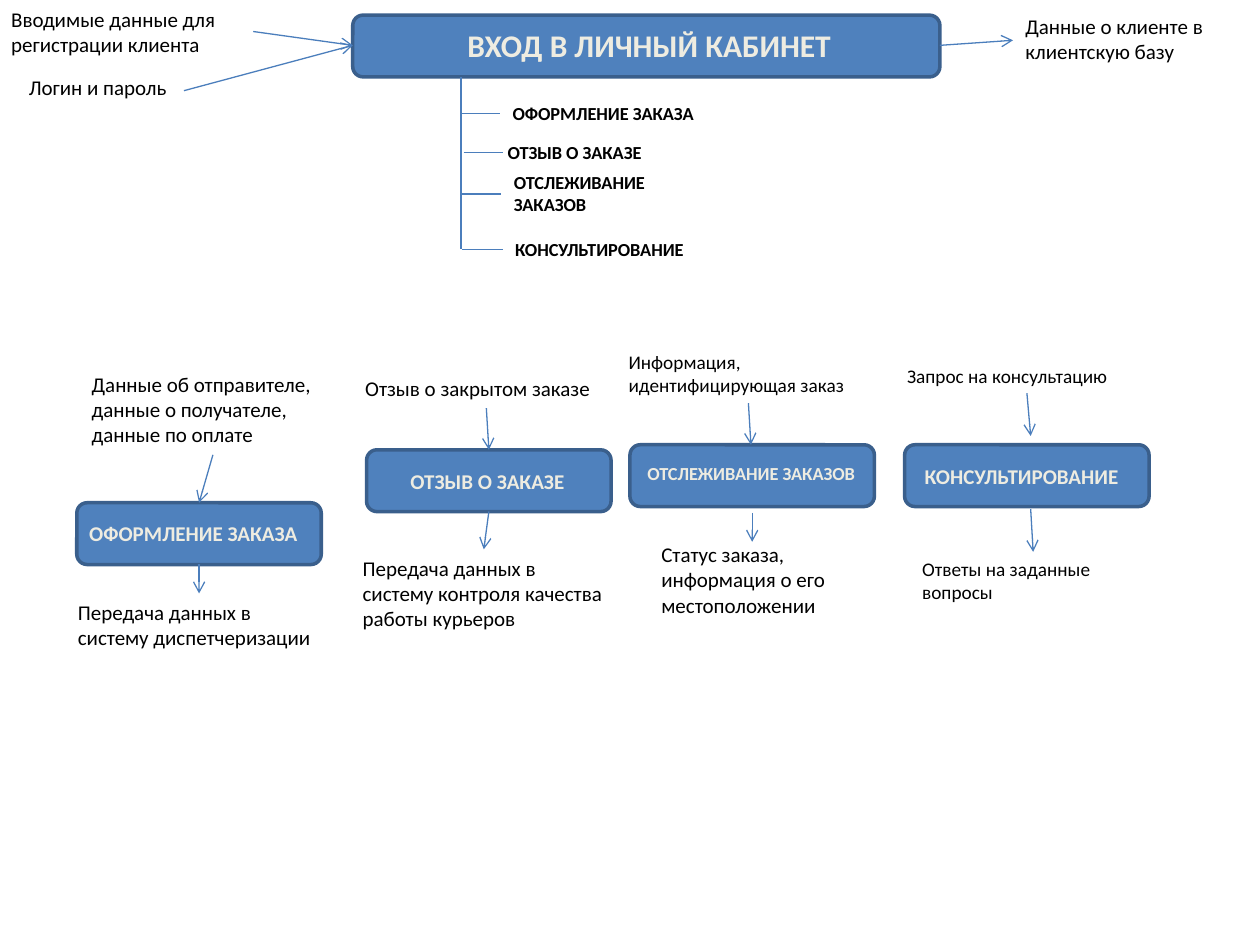
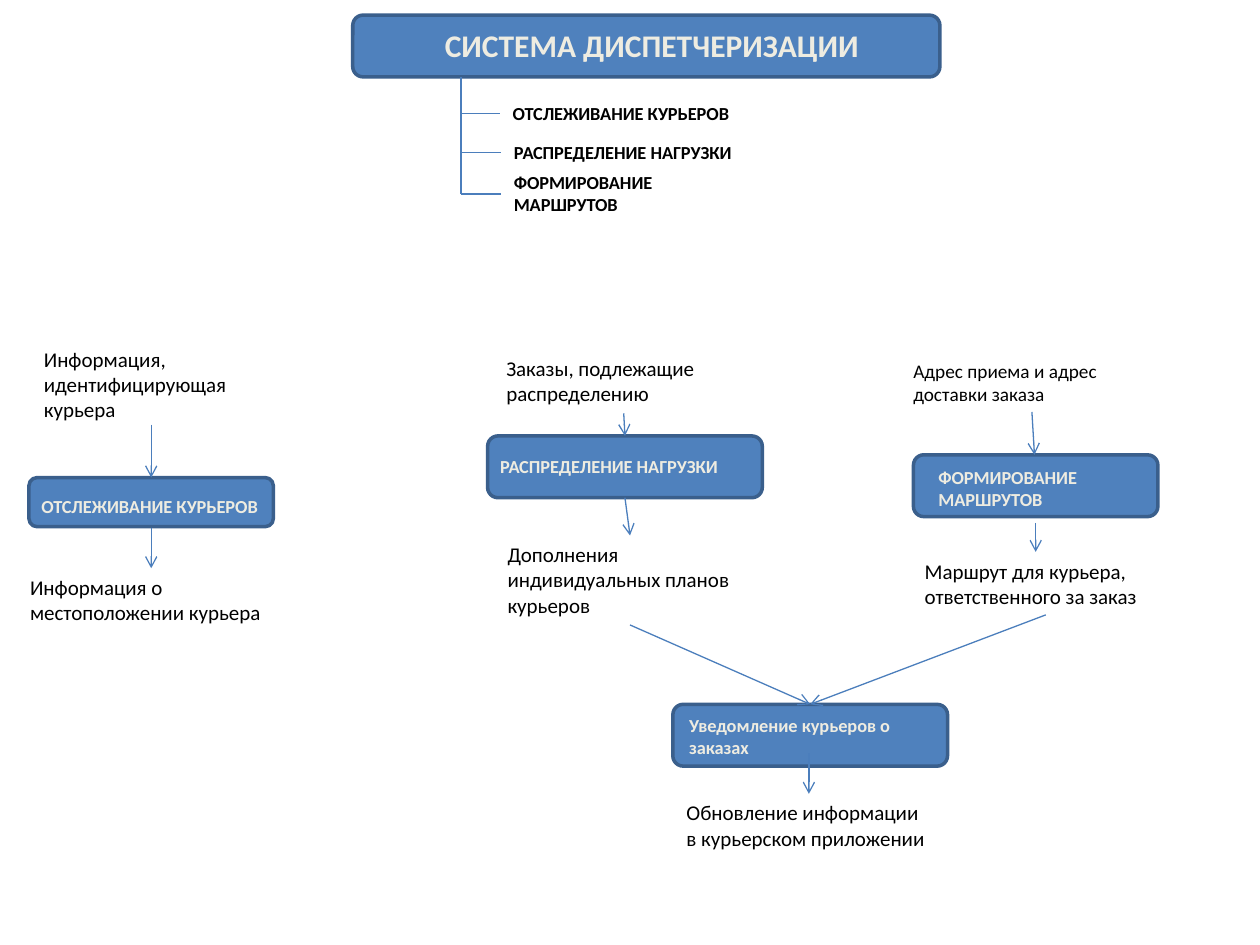
"""Builds two process diagrams: the customer account and the dispatch system."""
from dataclasses import dataclass
from typing import NamedTuple

from lxml import etree
from pptx import Presentation
from pptx.dml.color import RGBColor
from pptx.enum.shapes import MSO_CONNECTOR, MSO_SHAPE
from pptx.enum.text import MSO_ANCHOR, MSO_AUTO_SIZE, PP_ALIGN
from pptx.oxml.ns import qn
from pptx.util import Inches, Pt

STRAIGHT = MSO_CONNECTOR.STRAIGHT
ROUNDED = MSO_SHAPE.ROUNDED_RECTANGLE
LEFT = PP_ALIGN.LEFT
TOP = MSO_ANCHOR.TOP
GROW = MSO_AUTO_SIZE.SHAPE_TO_FIT_TEXT
FIXED = MSO_AUTO_SIZE.NONE

FONT = "Calibri"
BOX_FILL, BOX_LINE, ARROW_LINE = "4F81BD", "3A5F8C", "4B7EBC"
LIGHT, DARK = "EEECE1", "000000"
TITLE_ONLY = 5
SPINE_X = 3.66


class Area(NamedTuple):
    """Left, top, width and height in inches."""
    left: float
    top: float
    width: float
    height: float = 0.49


class Segment(NamedTuple):
    """Start and end of a line in inches."""
    x1: float
    y1: float
    x2: float
    y2: float


HEADER = Area(2.8, 0.12, 4.66)


@dataclass
class Note:
    """A text with its place, number of lines and size."""
    text: str
    left: float
    top: float
    width: float
    lines: int = 1
    size: float = 12

    def area(self) -> Area:
        """Place of the text, as high as its lines need."""
        height = 0.1 + self.lines * self.size * 1.22 / 72
        return Area(self.left, self.top, self.width, height)


@dataclass
class Step:
    """A process box with its label and the texts and arrows around it."""
    box: Area
    label: Note
    notes: list[Note]
    arrows: list[Segment]


@dataclass
class Branch:
    """An entry of the tree below the header."""
    note: Note
    y: float
    start: float = SPINE_X
    end: float = 3.98


@dataclass
class Diagram:
    """All that one slide shows."""
    title: Note
    branches: list[Branch]
    steps: list[Step]
    notes: list[Note]
    arrows: list[Segment]


def color(value: str) -> RGBColor:
    """Turn a hex string into a colour."""
    return RGBColor.from_string(value)


def write(shape, note: Note, ink: str, bold: bool, fit) -> None:
    """Put a note's text into a shape as one formatted run."""
    frame = shape.text_frame
    frame.word_wrap = True
    frame.auto_size = fit
    frame.vertical_anchor = TOP
    para = frame.paragraphs[0]
    para.alignment = LEFT
    span = para.add_run()
    span.text = note.text
    span.font.name = FONT
    span.font.size = Pt(note.size)
    span.font.bold = bold
    span.font.color.rgb = color(ink)


def add_note(page, note: Note, ink: str = DARK, bold: bool = False) -> None:
    """Add a wrapped text box."""
    box = page.shapes.add_textbox(*map(Inches, note.area()))
    write(box, note, ink, bold, GROW)


def add_box(page, area: Area):
    """Add a rounded process box."""
    box = page.shapes.add_shape(ROUNDED, *map(Inches, area))
    box.shadow.inherit = False
    box.fill.solid()
    box.fill.fore_color.rgb = color(BOX_FILL)
    box.line.color.rgb = color(BOX_LINE)
    box.line.width = Pt(2)
    return box


def add_line(page, segment: Segment, arrow: bool = False) -> None:
    """Add a thin line, with an open arrowhead at its end if asked."""
    line = page.shapes.add_connector(STRAIGHT, *map(Inches, segment))
    line.line.color.rgb = color(ARROW_LINE)
    line.line.width = Pt(0.75)
    if arrow:
        etree.SubElement(line.line._get_or_add_ln(), qn("a:tailEnd"), type="arrow")
    etree.SubElement(line.element.spPr, qn("a:effectLst"))


def add_header(page, note: Note) -> None:
    """Add the header box and set the title placeholder on top of it."""
    bar = add_box(page, HEADER)
    title = page.shapes.title
    title.left, title.top, title.width, title.height = map(Inches, note.area())
    write(title, note, LIGHT, True, FIXED)
    bar.element.addnext(title.element)


def add_tree(page, branches: list[Branch]) -> None:
    """Add the spine below the header and its branches."""
    header_bottom = HEADER.top + HEADER.height
    add_line(page, Segment(SPINE_X, header_bottom, SPINE_X, branches[-1].y))
    for branch in branches:
        add_line(page, Segment(branch.start, branch.y, branch.end, branch.y))
        add_note(page, branch.note, bold=True)


def add_step(page, step: Step) -> None:
    """Add a process box with its texts and arrows."""
    add_box(page, step.box)
    add_note(page, step.label, LIGHT, bold=True)
    for note in step.notes:
        add_note(page, note)
    for arrow in step.arrows:
        add_line(page, arrow, arrow=True)


def add_diagram(deck, diagram: Diagram) -> None:
    """Add one slide with its whole diagram."""
    page = deck.slides.add_slide(deck.slide_layouts[TITLE_ONLY])
    add_header(page, diagram.title)
    add_tree(page, diagram.branches)
    for step in diagram.steps:
        add_step(page, step)
    for note in diagram.notes:
        add_note(page, note)
    for arrow in diagram.arrows:
        add_line(page, arrow, arrow=True)


ACCOUNT = Diagram(
    title=Note("ВХОД В ЛИЧНЫЙ КАБИНЕТ", 3.61, 0.16, 3.28, size=18),
    branches=[
        Branch(Note("ОФОРМЛЕНИЕ ЗАКАЗА", 3.97, 0.76, 1.94, size=10.5), 0.9, end=3.97),
        Branch(Note("ОТЗЫВ О ЗАКАЗЕ", 3.93, 1.07, 2.08, size=10.5), 1.21, 3.68, 3.99),
        Branch(Note("ОТСЛЕЖИВАНИЕ ЗАКАЗОВ", 3.98, 1.31, 1.64, 2, 10.5), 1.54, 3.67),
        Branch(Note("КОНСУЛЬТИРОВАНИЕ", 3.99, 1.84, 1.64, size=10.5), 1.98, 3.67, 3.99),
    ],
    steps=[
        Step(
            Area(0.61, 3.99, 1.94),
            Note("ОФОРМЛЕНИЕ ЗАКАЗА", 0.61, 4.08, 1.94),
            [Note("Данные об отправителе, данные о получателе, данные по оплате",
                  0.63, 2.9, 2.13, 3),
             Note("Передача данных в систему диспетчеризации", 0.52, 4.71, 2.13, 2)],
            [Segment(1.69, 3.61, 1.58, 3.99), Segment(1.58, 4.48, 1.58, 4.71)],
        ),
        Step(
            Area(2.91, 3.57, 1.94),
            Note("ОТЗЫВ О ЗАКАЗЕ", 3.16, 3.67, 1.63),
            [Note("Отзыв о закрытом заказе", 2.8, 2.93, 2.13),
             Note("Передача данных в систему контроля качества работы курьеров",
                  2.78, 4.36, 2.13, 3)],
            [Segment(3.86, 3.24, 3.88, 3.57), Segment(3.88, 4.06, 3.84, 4.36)],
        ),
        Step(
            Area(5, 3.53, 1.94),
            Note("ОТСЛЕЖИВАНИЕ ЗАКАЗОВ", 5.04, 3.62, 1.93, size=10.5),
            [Note("Информация, идентифицирующая заказ", 4.89, 2.73, 2.13, 2, 11),
             Note("Статус заказа, информация о его местоположении", 5.15, 4.25, 1.62, 3)],
            [Segment(5.94, 3.2, 5.96, 3.53), Segment(5.97, 4.07, 5.97, 4.3)],
        ),
        Step(
            Area(7.18, 3.53, 1.94),
            Note("КОНСУЛЬТИРОВАНИЕ", 7.24, 3.63, 1.88),
            [Note("Запрос на консультацию", 7.1, 2.84, 1.92, size=11),
             Note("Ответы на заданные вопросы", 7.22, 4.37, 1.92, 2, 11)],
            [Segment(8.15, 3.12, 8.18, 3.46), Segment(8.18, 4.04, 8.2, 4.38)],
        ),
    ],
    notes=[
        Note("Вводимые данные для регистрации клиента", -0.01, 0, 2.02, 2),
        Note("Логин и пароль", 0.13, 0.54, 1.31),
        Note("Данные о клиенте в клиентскую базу", 8.04, 0.06, 1.73, 2),
    ],
    arrows=[
        Segment(2.01, 0.25, 2.8, 0.36),
        Segment(1.46, 0.72, 2.8, 0.36),
        Segment(7.46, 0.36, 8.04, 0.32),
    ],
)

DISPATCH = Diagram(
    title=Note("СИСТЕМА ДИСПЕТЧЕРИЗАЦИИ", 3.43, 0.16, 3.62, size=18),
    branches=[
        Branch(Note("ОТСЛЕЖИВАНИЕ КУРЬЕРОВ", 3.97, 0.76, 1.94, size=10.5), 0.9, end=3.97),
        Branch(Note("РАСПРЕДЕЛЕНИЕ НАГРУЗКИ", 3.98, 1.07, 2.11, size=10.5), 1.21),
        Branch(Note("ФОРМИРОВАНИЕ МАРШРУТОВ", 3.98, 1.31, 1.64, 2, 10.5), 1.54),
    ],
    steps=[
        Step(
            Area(0.23, 3.79, 1.94, 0.39),
            Note("ОТСЛЕЖИВАНИЕ КУРЬЕРОВ", 0.23, 3.88, 1.94, size=10.5),
            [Note("Информация, идентифицирующая курьера", 0.25, 2.7, 2.13, 3),
             Note("Информация о местоположении курьера", 0.14, 4.51, 2.13, 2)],
            [Segment(1.2, 3.37, 1.2, 3.79), Segment(1.2, 4.19, 1.2, 4.51)],
        ),
        Step(
            Area(3.87, 3.46, 2.18),
            Note("РАСПРЕДЕЛЕНИЕ НАГРУЗКИ", 3.87, 3.56, 2.11, size=10.5),
            [Note("Заказы, подлежащие распределению", 3.92, 2.77, 2.06, 2),
             Note("Дополнения индивидуальных планов курьеров", 3.93, 4.25, 2.13, 3)],
            [Segment(4.95, 3.28, 4.96, 3.46), Segment(4.96, 3.95, 5, 4.25)],
        ),
        Step(
            Area(7.25, 3.61, 1.94),
            Note("ФОРМИРОВАНИЕ МАРШРУТОВ", 7.35, 3.65, 1.64, 2, 10.5),
            [Note("Адрес приема и адрес доставки заказа", 7.15, 2.8, 2.13, 2, 11),
             Note("Маршрут для курьера, ответственного за заказ", 7.24, 4.38, 2.13, 2)],
            [Segment(8.19, 3.27, 8.21, 3.61), Segment(8.22, 4.15, 8.22, 4.38)],
        ),
        Step(
            Area(5.34, 5.59, 2.18),
            Note("Уведомление курьеров о заказах", 5.37, 5.62, 2.11, 2, 10.5),
            [Note("Обновление информации в курьерском приложении", 5.35, 6.3, 2.13, 2)],
            [Segment(8.3, 4.88, 6.43, 5.59), Segment(5, 4.96, 6.43, 5.59),
             Segment(6.42, 5.98, 6.42, 6.3)],
        ),
    ],
    notes=[],
    arrows=[],
)


def main() -> None:
    """Build the deck and save it."""
    deck = Presentation()
    deck.slide_width, deck.slide_height = Inches(10), Inches(7.5)
    for diagram in (ACCOUNT, DISPATCH):
        add_diagram(deck, diagram)
    deck.save("out.pptx")


main()
